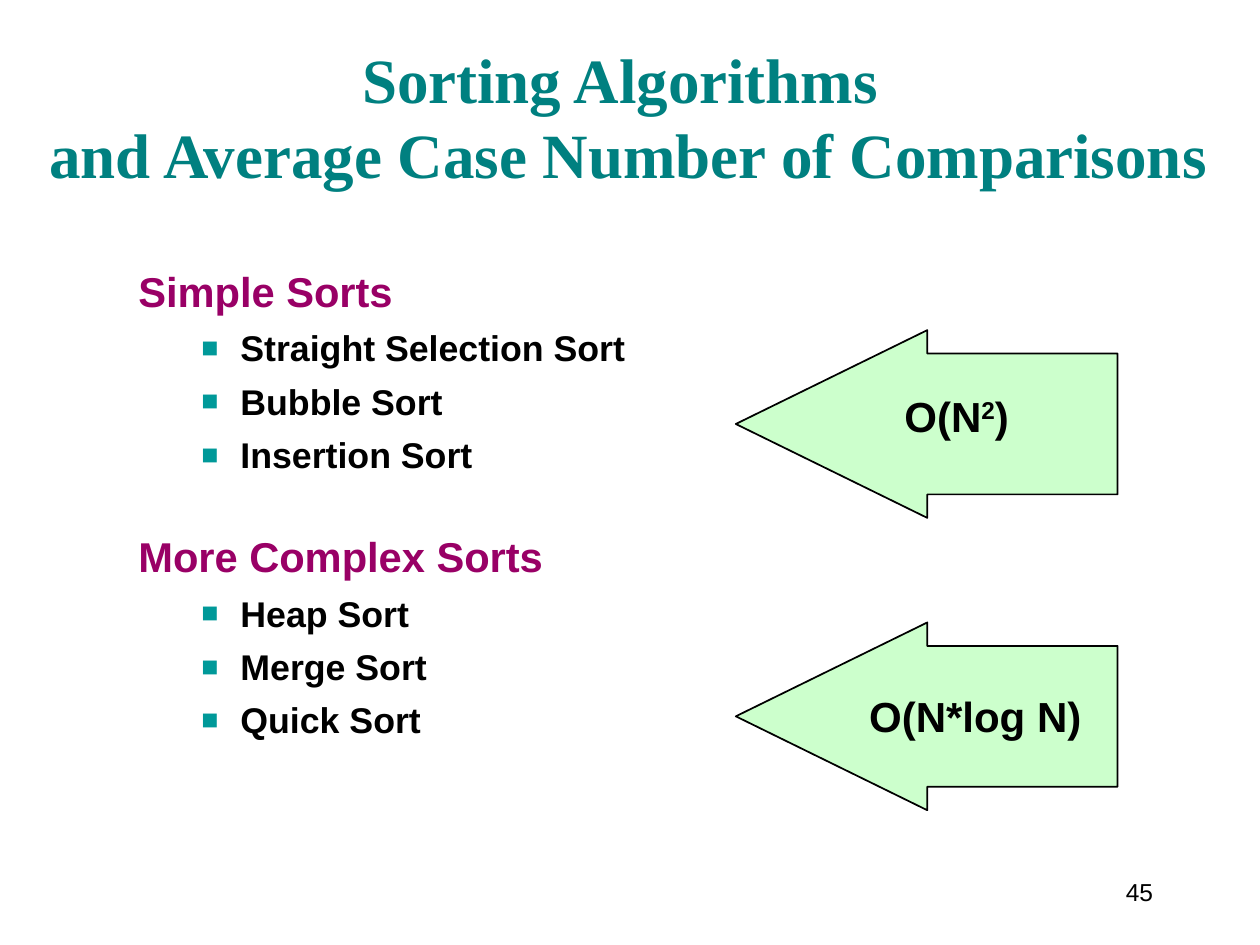
import pptx
import pptx.util
import pptx.dml.color
import pptx.enum.shapes
import pptx.enum.text
import pptx.oxml.ns
from dataclasses import dataclass
from lxml import etree

Inches = pptx.util.Inches
Pt = pptx.util.Pt
Align = pptx.enum.text.PP_ALIGN
Anchor = pptx.enum.text.MSO_ANCHOR


@dataclass(frozen=True)
class Theme:
    serif: str = "Times New Roman"
    sans: str = "Arial"
    teal: str = "008080"
    mark: str = "009999"
    plum: str = "990066"
    mint: str = "CCFFCC"
    ink: str = "000000"
    title: float = 36
    head: float = 23.8
    item: float = 20.4
    label: float = 24
    page: float = 14


THEME = Theme()
GROUPS = [
    ("Simple Sorts", ["Straight Selection Sort", "Bubble Sort", "Insertion Sort"]),
    ("More Complex Sorts", ["Heap Sort", "Merge Sort", "Quick Sort"]),
]


def color(code):
    return pptx.dml.color.RGBColor.from_string(code)


def style(para, size, tint, face=THEME.sans, bold=True):
    font = para.font
    font.name, font.size, font.bold = face, Pt(size), bold
    font.color.rgb = color(tint)


def add_box(slide, left, top, width, height, anchor=Anchor.TOP):
    box = slide.shapes.add_textbox(
        Inches(left), Inches(top), Inches(width), Inches(height))
    frame = box.text_frame
    frame.word_wrap = True
    frame.vertical_anchor = anchor
    return frame


def add_mark(para):
    """Give a paragraph a hanging square bullet."""
    props = para._p.get_or_add_pPr()
    props.set("marL", str(Inches(0.81)))
    props.set("indent", str(Inches(-0.31)))
    qn = pptx.oxml.ns.qn
    tint = etree.SubElement(props, qn("a:buClr"))
    etree.SubElement(tint, qn("a:srgbClr"), val=THEME.mark)
    etree.SubElement(props, qn("a:buSzPct"), val="80000")
    etree.SubElement(props, qn("a:buFont"), typeface=THEME.sans)
    etree.SubElement(props, qn("a:buChar"), char="■")


def add_title(slide):
    frame = add_box(slide, 0.11, 0.24, 9.75, 1.33, Anchor.BOTTOM)
    para = frame.paragraphs[0]
    para.text = "Sorting Algorithms \vand Average Case Number of Comparisons"
    para.alignment = Align.CENTER
    style(para, THEME.title, THEME.teal, THEME.serif)


def add_list(slide):
    frame = add_box(slide, 1, 2.06, 7.08, 4.58)
    for i, (head, items) in enumerate(GROUPS):
        para = frame.add_paragraph() if i else frame.paragraphs[0]
        para.text = head
        para.space_before = Pt(31.5 if i else 7)
        style(para, THEME.head, THEME.plum)
        for item in items:
            para = frame.add_paragraph()
            para.text = item
            add_mark(para)
            para.space_before = Pt(6)
            style(para, THEME.item, THEME.ink)


def add_arrow(slide, top):
    kind = pptx.enum.shapes.MSO_SHAPE.LEFT_ARROW
    arrow = slide.shapes.add_shape(
        kind, Inches(5.84), Inches(top), Inches(3.03), Inches(1.49))
    arrow.adjustments[0] = 0.75
    arrow.adjustments[1] = 1.02
    arrow.shadow.inherit = False
    arrow.fill.solid()
    arrow.fill.fore_color.rgb = color(THEME.mint)
    arrow.line.color.rgb = color(THEME.ink)
    arrow.line.width = Pt(1)


def add_label(slide, left, top, parts):
    """Write parts in turn; every second part is raised."""
    para = add_box(slide, left, top, 2, 0.5).paragraphs[0]
    style(para, THEME.label, THEME.ink)
    for i, part in enumerate(parts):
        run = para.add_run()
        run.text = part
        if i % 2:
            run.font._element.set("baseline", "30000")


def add_page(slide):
    frame = add_box(slide, 8.58, 6.83, 0.67, 0.5, Anchor.MIDDLE)
    para = frame.paragraphs[0]
    para.text = "45"
    para.alignment = Align.RIGHT
    style(para, THEME.page, THEME.ink, bold=False)


def main():
    deck = pptx.Presentation()
    deck.slide_width, deck.slide_height = Inches(10), Inches(7.5)
    slide = deck.slides.add_slide(deck.slide_layouts[6])
    add_title(slide)
    add_list(slide)
    for top in (2.62, 4.94):
        add_arrow(slide, top)
    add_label(slide, 7.08, 3.05, ["O(N", "2", ")"])
    add_label(slide, 6.8, 5.43, ["O(N*log N)"])
    add_page(slide)
    deck.save("out.pptx")


if __name__ == "__main__":
    main()
